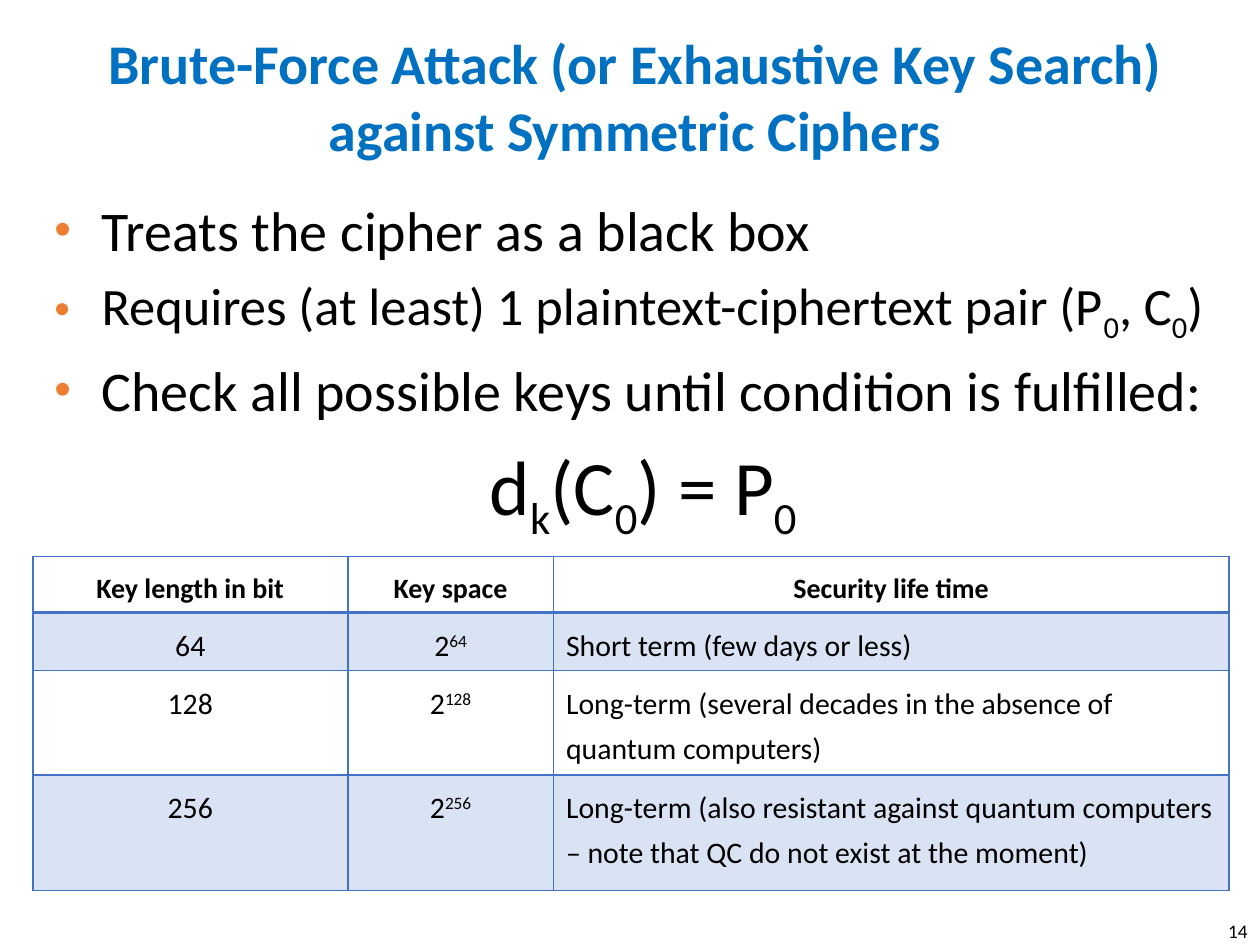
"""Build a slide on brute-force attacks against symmetric ciphers."""
from lxml import etree
from pptx import Presentation
from pptx.dml.color import RGBColor
from pptx.enum.text import MSO_ANCHOR, MSO_AUTO_SIZE, PP_ALIGN
from pptx.oxml import parse_xml
from pptx.oxml.ns import nsdecls, qn
from pptx.util import Pt

CENTER, LEFT, RIGHT = PP_ALIGN.CENTER, PP_ALIGN.LEFT, PP_ALIGN.RIGHT
MIDDLE, TOP = MSO_ANCHOR.MIDDLE, MSO_ANCHOR.TOP
NO_FIT = MSO_AUTO_SIZE.NONE
BLUE, BLACK, ORANGE, BORDER, BAND = "0070C0", "000000", "ED7D31", "4472C4", "DAE3F3"


def color(value):
    return RGBColor.from_string(value)


def write(paragraph, pieces, size, align, ink=BLACK, bold=False):
    paragraph.alignment = align
    for text, baseline in pieces:
        run = paragraph.add_run()
        run.text = text
        if baseline:
            run.font._element.set("baseline", str(baseline * 1000))
    font = paragraph.font
    font.name, font.size, font.bold = "Calibri", Pt(size), bold
    font.color.rgb = color(ink)


presentation = Presentation()
presentation.slide_width, presentation.slide_height = Pt(720), Pt(540)
slide = presentation.slides.add_slide(presentation.slide_layouts[5])

title = slide.shapes.title
title.left, title.top, title.width, title.height = Pt(18), Pt(1.5), Pt(690), Pt(106.5)
title.text_frame.word_wrap = True
title.text_frame.auto_size = NO_FIT
title.text_frame.vertical_anchor = MIDDLE
heading = "Brute-Force Attack (or Exhaustive Key Search) against Symmetric Ciphers"
write(title.text_frame.paragraphs[0], [(heading, 0)], 32, CENTER, BLUE, True)

body = slide.shapes.add_textbox(Pt(24), Pt(108), Pt(678), Pt(174)).text_frame
body.word_wrap = True
points = [
    (32, True, [("Treats the cipher as a black box", 0)]),
    (30, True, [("Requires (at least) 1 plaintext-ciphertext pair (P", 0), ("0", -25),
                (", C", 0), ("0", -25), (")", 0)]),
    (32, True, [("Check all possible keys until condition is fulfilled:", 0)]),
    (44, False, [("d", 0), ("k", -25), ("(C", 0), ("0", -25), (") = P", 0), ("0", -25)]),
]
for index, (size, bulleted, pieces) in enumerate(points):
    paragraph = body.add_paragraph() if index else body.paragraphs[0]
    if index:
        paragraph.space_before = Pt(size * 0.2)
    properties = paragraph._p.get_or_add_pPr()
    properties.set("marL", str(Pt(27 if bulleted else 9)))
    properties.set("indent", str(Pt(-27 if bulleted else 0)))
    if bulleted:
        bullet_color = etree.SubElement(properties, qn("a:buClr"))
        etree.SubElement(bullet_color, qn("a:srgbClr"), val=ORANGE)
        etree.SubElement(properties, qn("a:buSzPct"), val="85000")
        etree.SubElement(properties, qn("a:buFont"), typeface="Arial")
        etree.SubElement(properties, qn("a:buChar"), char="•")
    write(paragraph, pieces, size, LEFT if bulleted else CENTER)

number = slide.shapes.add_textbox(Pt(690), Pt(522), Pt(30), Pt(17.5)).text_frame
number.word_wrap = True
write(number.paragraphs[0], [("14", 0)], 11, RIGHT)

rows = [[[("Key length in bit", 0)], [("Key space", 0)], [("Security life time", 0)]]]
for bits, lifetime in [
    ("64", "Short term (few days or less)"),
    ("128", "Long-term (several decades in the absence of quantum computers)"),
    ("256", "Long-term (also resistant against quantum computers "
            "– note that QC do not exist at the moment)"),
]:
    rows.append([[(bits, 0)], [("2", 0), (bits, 30)], [(lifetime, 0)]])

widths, heights = [180, 117.5, 386], [32, 33.2, 59.6, 66]
table = slide.shapes.add_table(4, 3, Pt(18.75), Pt(318), Pt(sum(widths)), Pt(sum(heights))).table
table.first_row = table.horz_banding = False
for column, width in zip(table.columns, widths):
    column.width = Pt(width)
for row_index, (row, height) in enumerate(zip(rows, heights)):
    table.rows[row_index].height = Pt(height)
    header = row_index == 0
    for column_index, pieces in enumerate(row):
        cell = table.cell(row_index, column_index)
        cell.vertical_anchor = TOP
        if row_index % 2:
            cell.fill.solid()
            cell.fill.fore_color.rgb = color(BAND)
        else:
            cell.fill.background()
        line_widths = {"lnL": 1, "lnR": 1, "lnT": 2 if row_index == 1 else 1, "lnB": 2 if header else 1}
        for position, (side, width) in enumerate(line_widths.items()):
            cell._tc.get_or_add_tcPr().insert(position, parse_xml(
                f'<a:{side} {nsdecls("a")} w="{Pt(width)}"><a:solidFill>'
                f'<a:srgbClr val="{BORDER}"/></a:solidFill></a:{side}>'))
        paragraph = cell.text_frame.paragraphs[0]
        paragraph.line_spacing = 1.25
        align = CENTER if header or column_index < 2 else LEFT
        write(paragraph, pieces, 16 if header else 17, align, bold=header)

presentation.save("out.pptx")
